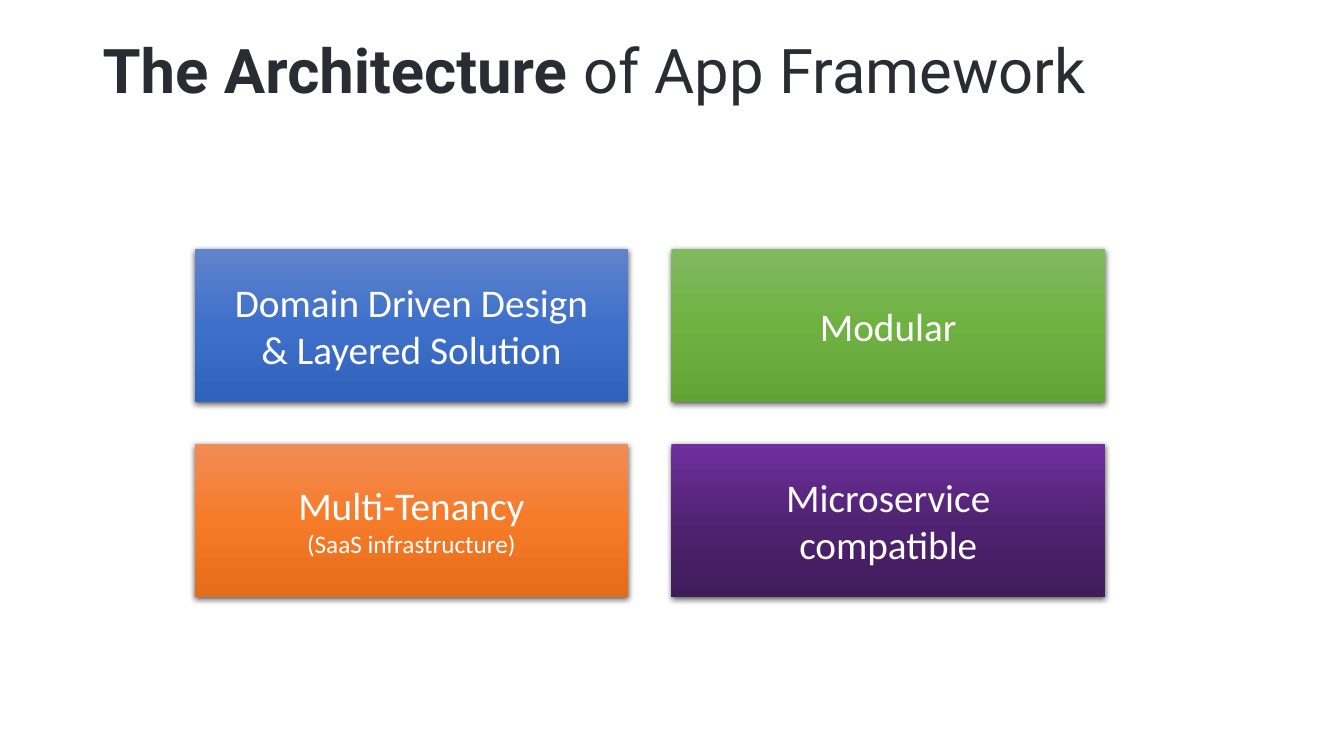
from lxml import etree
from pptx import Presentation
from pptx import util as u
from pptx.dml.color import RGBColor
from pptx.enum import shapes, text
from pptx.oxml import ns

WIDTH, HEIGHT = u.Inches(13.33), u.Inches(7.5)
INK = RGBColor(0x29, 0x2D, 0x33)
WHITE = RGBColor(0xFF, 0xFF, 0xFF)
BLACK = RGBColor(0x00, 0x00, 0x00)
BLUE = [RGBColor(0x61, 0x83, 0xCB), RGBColor(0x3E, 0x70, 0xCA), RGBColor(0x30, 0x62, 0xBB)]
GREEN = [RGBColor(0x81, 0xB8, 0x61), RGBColor(0x6F, 0xB2, 0x42), RGBColor(0x62, 0xA3, 0x36)]
ORANGE = [RGBColor(0xF1, 0x8C, 0x57), RGBColor(0xF6, 0x7B, 0x28), RGBColor(0xE5, 0x6C, 0x19)]
PURPLE = [RGBColor(0x70, 0x30, 0xA0), RGBColor(0x51, 0x23, 0x73), RGBColor(0x3F, 0x1C, 0x5A)]

PILLARS = [
    (BLUE, [("Domain Driven Design", 28), ("& Layered Solution", 28)]),
    (GREEN, [("Modular", 28)]),
    (ORANGE, [("Multi-Tenancy", 28), ("(SaaS infrastructure)", 18)]),
    (PURPLE, [("Microservice", 28), ("compatible", 28)]),
]
COLUMNS = 2
CARD_WIDTH, CARD_HEIGHT = u.Inches(4.3), u.Inches(1.52)
COLUMN_STEP, ROW_STEP = u.Inches(4.73), u.Inches(1.93)


def add_span(para, words, font, size, color, bold=False):
    """Append a formatted span of words to a paragraph."""
    span = para.add_run()
    span.text = words
    span.font.name = font
    span.font.size = u.Pt(size)
    span.font.color.rgb = color
    span.font.bold = bold


def add_color(parent, color):
    """Append an RGB colour element and return it."""
    return etree.SubElement(parent, ns.qn("a:srgbClr"), val=str(color))


def fill_downward(shape, colors):
    """Fill a shape with evenly spaced colours from top to bottom."""
    shape.fill.gradient()
    shape.fill.gradient_angle = 270
    stops = shape.element.spPr.find(".//" + ns.qn("a:gsLst"))
    for stop in list(stops):
        stops.remove(stop)
    for index, color in enumerate(colors):
        position = 100000 * index // (len(colors) - 1)
        add_color(etree.SubElement(stops, ns.qn("a:gs"), pos=str(position)), color)


def add_soft_shadow(shape):
    """Give a shape a soft shadow just below it."""
    shape.shadow.inherit = False
    effects = shape.element.spPr.find(ns.qn("a:effectLst"))
    shadow = etree.SubElement(
        effects, ns.qn("a:outerShdw"), blurRad=str(u.Pt(4.5)), dist=str(u.Pt(1.5)),
        dir="5400000", algn="ctr", rotWithShape="0")
    etree.SubElement(add_color(shadow, BLACK), ns.qn("a:alpha"), val="63000")


def add_title(page, left, top, width, height):
    """Place the two-weight heading in the given box."""
    frame = page.shapes.add_textbox(left, top, width, height).text_frame
    frame.word_wrap = True
    frame.vertical_anchor = text.MSO_ANCHOR.MIDDLE
    para = frame.paragraphs[0]
    para.line_spacing = 0.9
    add_span(para, "The Architecture ", "Roboto", 44, INK, bold=True)
    add_span(para, "of App Framework", "Roboto", 44, INK)


def add_card(page, left, top, width, height, colors, lines):
    """Place one pillar card with its centred lines."""
    card = page.shapes.add_shape(shapes.MSO_SHAPE.RECTANGLE, left, top, width, height)
    fill_downward(card, colors)
    card.line.fill.background()
    add_soft_shadow(card)
    frame = card.text_frame
    frame.word_wrap = True
    frame.vertical_anchor = text.MSO_ANCHOR.MIDDLE
    for index, (words, size) in enumerate(lines):
        para = frame.add_paragraph() if index else frame.paragraphs[0]
        para.alignment = text.PP_ALIGN.CENTER
        add_span(para, words, "Calibri", size, WHITE)


def add_pillars(page, left, top):
    """Lay the pillar cards out in a grid from the given corner."""
    for index, (colors, lines) in enumerate(PILLARS):
        row, column = divmod(index, COLUMNS)
        add_card(page, left + column * COLUMN_STEP, top + row * ROW_STEP,
                 CARD_WIDTH, CARD_HEIGHT, colors, lines)


def main():
    """Build the architecture slide and save it."""
    deck = Presentation()
    deck.slide_width, deck.slide_height = WIDTH, HEIGHT
    page = deck.slides.add_slide(deck.slide_layouts[6])
    add_title(page, u.Inches(0.92), 0, u.Inches(11.5), u.Inches(1.45))
    add_pillars(page, u.Inches(1.93), u.Inches(2.47))
    deck.save("out.pptx")


if __name__ == "__main__":
    main()
